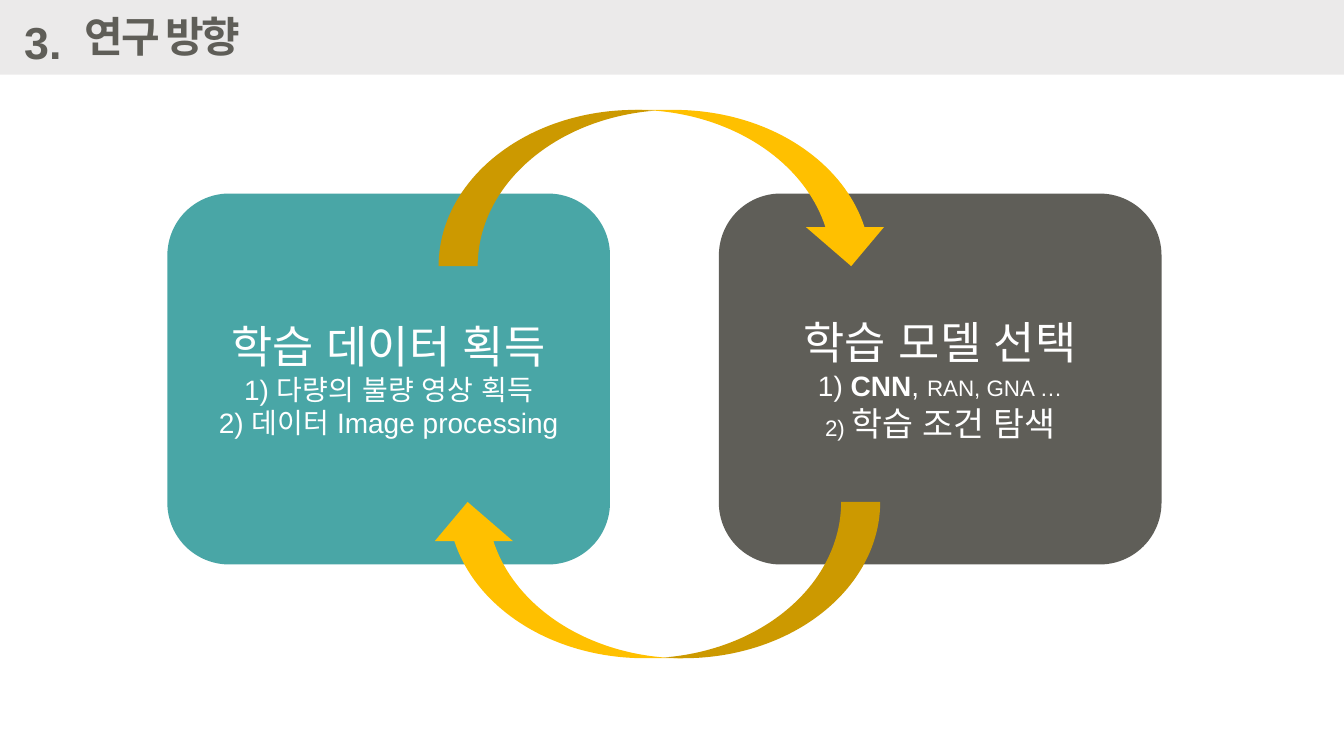
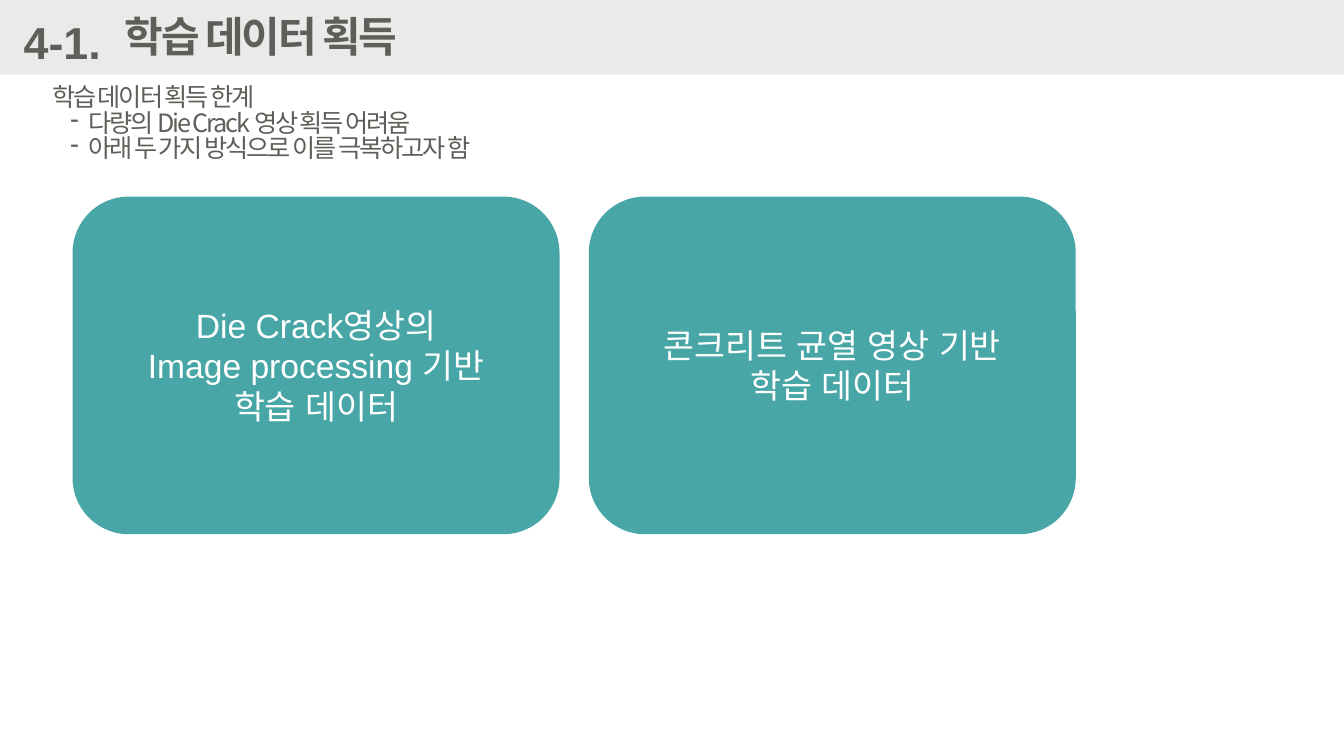
from lxml import etree
from pptx import Presentation
from pptx.dml.color import RGBColor
from pptx.enum.shapes import MSO_SHAPE
from pptx.enum.text import MSO_ANCHOR, PP_ALIGN
from pptx.oxml.ns import qn
from pptx.util import Inches, Pt

RECTANGLE = MSO_SHAPE.RECTANGLE
ROUNDED = MSO_SHAPE.ROUNDED_RECTANGLE
CURVED_ARROW = MSO_SHAPE.CURVED_DOWN_ARROW
MIDDLE = MSO_ANCHOR.MIDDLE
LEFT, CENTER, RIGHT = PP_ALIGN.LEFT, PP_ALIGN.CENTER, PP_ALIGN.RIGHT

BAND_GRAY = RGBColor(0xD8, 0xD7, 0xD7)
DARK_GRAY = RGBColor(0x5F, 0x5E, 0x58)
TEAL = RGBColor(0x49, 0xA6, 0xA6)
AMBER = RGBColor(0xFF, 0xC0, 0x00)
WHITE = RGBColor(0xFF, 0xFF, 0xFF)

LATIN_FONT = "Arial"
KOREAN_FONT = "Noto Sans CJK KR"
SLIDE_WIDTH, SLIDE_HEIGHT = 13.33, 7.5


def set_font(paragraph, name, size, color, bold=None):
    font = paragraph.font
    font.name, font.size, font.bold = name, Pt(size), bold
    font.color.rgb = color
    properties = paragraph._p.pPr.find(qn("a:defRPr"))
    etree.SubElement(properties, qn("a:ea")).set("typeface", name)
    if name == KOREAN_FONT:
        properties.set("spc", "-150")
        paragraph.line_spacing = 0.84


def set_dash_bullet(paragraph):
    properties = paragraph._p.get_or_add_pPr()
    properties.set("marL", str(Inches(0.36)))
    properties.set("indent", str(-Inches(0.18)))
    bullet = etree.Element(qn("a:buChar"), char="-")
    properties.find(qn("a:defRPr")).addprevious(bullet)


def add_shape(slide, kind, left, top, width, height, color):
    shape = slide.shapes.add_shape(
        kind, Inches(left), Inches(top), Inches(width), Inches(height))
    shape.shadow.inherit = False
    shape.fill.solid()
    shape.fill.fore_color.rgb = color
    shape.line.fill.background()
    return shape


def add_text(slide, left, top, width, height, lines, font, size,
             bold=None, align=LEFT):
    box = slide.shapes.add_textbox(
        Inches(left), Inches(top), Inches(width), Inches(height))
    frame = box.text_frame
    frame.word_wrap = False
    frame.text = "\n".join(lines)
    for paragraph in frame.paragraphs:
        paragraph.alignment = align
        set_font(paragraph, font, size, DARK_GRAY, bold)
    return frame


def add_header(slide, number, number_width, title, title_left, title_width):
    band = add_shape(slide, RECTANGLE, 0, 0, SLIDE_WIDTH, 0.74, BAND_GRAY)
    color = band.fill._xPr.find(".//" + qn("a:srgbClr"))
    etree.SubElement(color, qn("a:alpha")).set("val", "50000")
    add_text(slide, 0.13, 0.1, number_width, 0.64, [number],
             LATIN_FONT, 32, True, RIGHT)
    add_text(slide, title_left, 0.14, title_width, 0.61, [title],
             KOREAN_FONT, 30, True)


def add_card(slide, left, top, width, height, color, lines):
    card = add_shape(slide, ROUNDED, left, top, width, height, color)
    frame = card.text_frame
    frame.word_wrap = True
    frame.vertical_anchor = MIDDLE
    for index, (size, runs) in enumerate(lines):
        paragraph = frame.add_paragraph() if index else frame.paragraphs[0]
        paragraph.alignment = CENTER
        set_font(paragraph, LATIN_FONT, size, WHITE)
        for text, run_size, bold in runs:
            run = paragraph.add_run()
            run.text = text
            if run_size != size:
                run.font.size = Pt(run_size)
            if bold:
                run.font.bold = True


def plain_lines(*lines):
    return [(size, [(text, size, False)]) for text, size in lines]


def build_direction_slide(slide):
    add_header(slide, "3.", 0.58, "연구 방향", 0.74, 1.89)
    data_lines = plain_lines(
        ("학습 데이터 획득", 32),
        ("1) 다량의 불량 영상 획득", 20),
        ("2) 데이터 Image processing", 20))
    model_lines = plain_lines(("학습 모델 선택", 32)) + [
        (20, [("1) ", 20, False), ("CNN", 20, True), (", ", 20, False),
              ("RAN, GNA …", 16, False)]),
        (24, [("2) ", 16, False), ("학습 조건 탐색", 24, False)])]
    for left, color, lines in ((1.66, TEAL, data_lines),
                               (7.13, DARK_GRAY, model_lines)):
        add_card(slide, left, 1.92, 4.39, 3.68, color, lines)
    for left, top, rotation in ((4.35, 1.09, 0), (4.25, 4.98, 180)):
        arrow = add_shape(slide, CURVED_ARROW, left, top, 4.48, 1.55, AMBER)
        arrow.rotation = rotation


def build_data_slide(slide):
    add_header(slide, "4-1.", 0.97, "학습 데이터 획득", 1.14, 3.19)
    limits = add_text(slide, 0.42, 0.81, 4.84, 1.01, [
        "학습 데이터 획득 한계",
        "다량의 Die Crack 영상 획득 어려움",
        "아래 두 가지 방식으로 이를 극복하고자 함"], KOREAN_FONT, 18)
    for paragraph in limits.paragraphs[1:]:
        set_dash_bullet(paragraph)
    cards = (
        ("Die Crack영상의", "Image processing 기반", "학습 데이터"),
        ("콘크리트 균열 영상 기반", "학습 데이터"))
    width, gap = 4.83, 0.29
    for index, texts in enumerate(cards):
        lines = plain_lines(*((text, 24) for text in texts))
        add_card(slide, 0.72 + index * (width + gap), 1.95, width, 3.35,
                 TEAL, lines)


def main():
    presentation = Presentation()
    presentation.slide_width = Inches(SLIDE_WIDTH)
    presentation.slide_height = Inches(SLIDE_HEIGHT)
    blank = presentation.slide_layouts[6]
    for build in (build_direction_slide, build_data_slide):
        build(presentation.slides.add_slide(blank))
    presentation.save("out.pptx")


if __name__ == "__main__":
    main()
